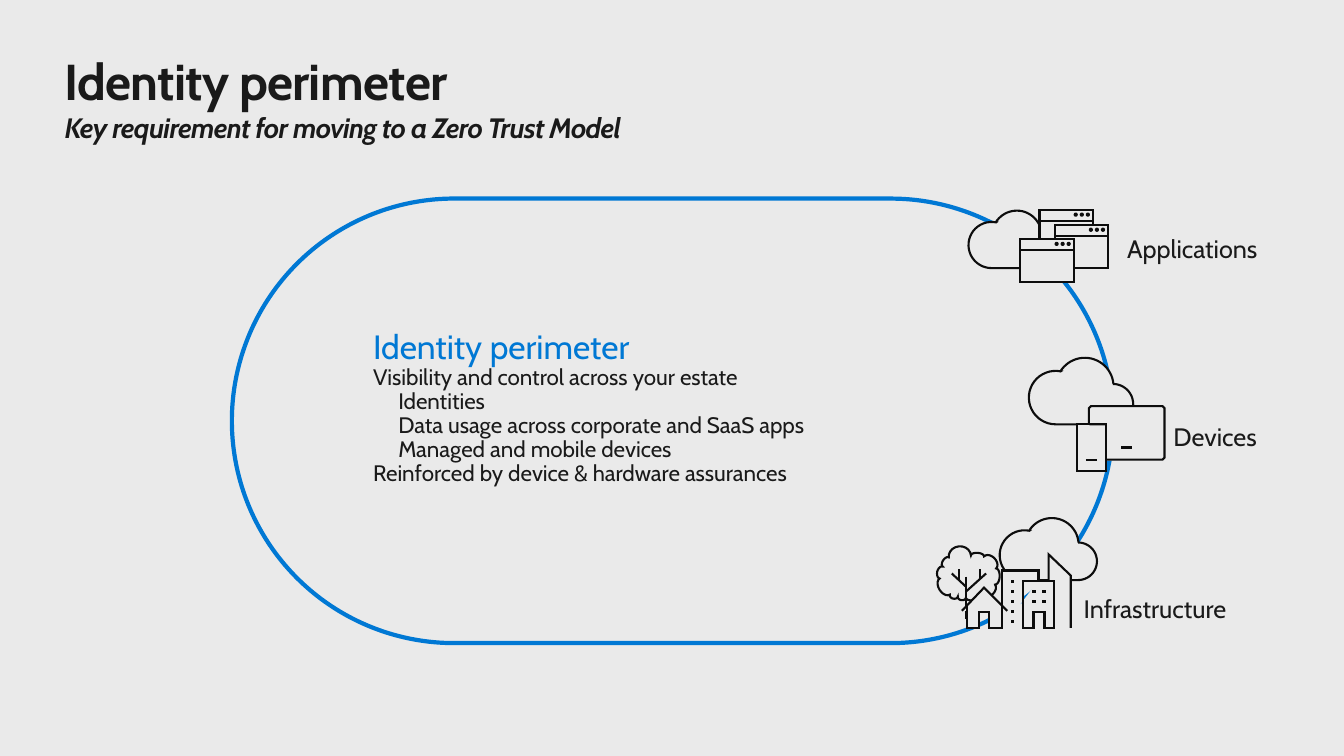
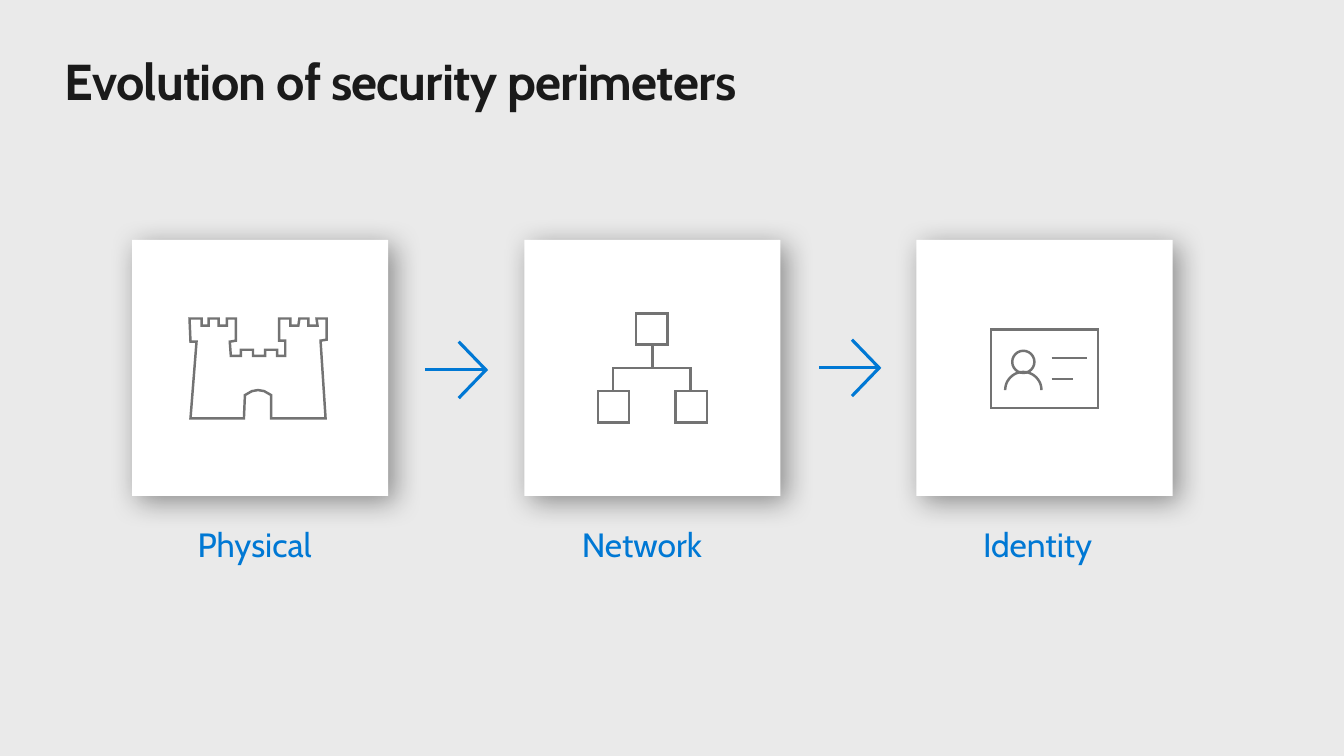
from dataclasses import dataclass
from math import cos, hypot, pi, radians, sin

from lxml import etree
from pptx import Presentation
from pptx import util as u
from pptx.dml.color import RGBColor
from pptx.enum import shapes, text
from pptx.oxml.ns import qn

FONT = "Cabin"
PAPER, INK, BLUE, WHITE = "EAEAEA", "1A1A1A", "0078D4", "FFFFFF"
OUTLINE, GREY = "0D0D0D", "737373"
CARD_SIZE = 2.54
CARD_TOP = 2.38

Point = tuple[float, float]
Contour = list[Point]


@dataclass
class Label:
    words: str
    left: float
    top: float
    width: float


@dataclass
class Line:
    words: str
    size: int = 16
    colour: str = INK
    indent: float = 0
    spacing: float = 0.9


@dataclass
class Stroke:
    colour: str
    width: float
    fill: str | None = None


ICON = Stroke(OUTLINE, 1.5, PAPER)
PICTOGRAM = Stroke(GREY, 1.75)
ARROW = Stroke(BLUE, 2.25)

ACCESS_LABELS = [
    Label("Infrastructure", 10.65, 5.84, 2.08),
    Label("Applications", 11.08, 2.27, 1.76),
    Label("Devices", 11.54, 4.13, 1.49),
]
STAGES = [
    Label("Physical", 1.76, 5.08, 1.72),
    Label("Network", 5.57, 5.08, 1.81),
    Label("Identity", 9.55, 5.08, 1.67),
]
PERIMETER_LINES = [
    Line("Identity perimeter", 24, BLUE, spacing=1.0),
    Line("Visibility and control across your estate"),
    Line("Identities", indent=0.25),
    Line("Data usage across corporate and SaaS apps", indent=0.25),
    Line("Managed and mobile devices", indent=0.25),
    Line("Reinforced by device & hardware assurances"),
]
TREE_NOTCHES = [
    (9.88, 5.64, 0.06), (9.76, 5.52, 0.03), (9.63, 5.51, 0.1),
    (9.41, 5.53, 0.03), (9.35, 5.62, 0.04), (9.32, 5.74, 0.06),
    (9.42, 5.9, 0.03), (9.5, 5.92, 0.03), (9.58, 5.93, 0.04),
    (9.71, 5.9, 0.07), (9.87, 5.8, 0.04),
]
CASTLE = [
    (1.89, 4.15), (2.42, 4.15), (2.43, 3.92), (2.5, 3.88), (2.56, 3.87),
    (2.62, 3.88), (2.69, 3.92), (2.69, 4.15), (3.23, 4.15), (3.18, 3.38),
    (3.24, 3.37), (3.24, 3.16), (3.14, 3.16), (3.15, 3.23), (3.06, 3.23),
    (3.06, 3.16), (2.97, 3.16), (2.96, 3.23), (2.88, 3.23), (2.88, 3.16),
    (2.77, 3.16), (2.77, 3.38), (2.83, 3.38), (2.83, 3.53), (2.75, 3.53),
    (2.75, 3.47), (2.63, 3.47), (2.63, 3.53), (2.51, 3.53), (2.51, 3.47),
    (2.39, 3.47), (2.39, 3.53), (2.29, 3.53), (2.28, 3.39), (2.34, 3.38),
    (2.34, 3.16), (2.25, 3.16), (2.25, 3.23), (2.17, 3.23), (2.17, 3.16),
    (2.07, 3.16), (2.07, 3.23), (2, 3.23), (2, 3.16), (1.88, 3.16),
    (1.89, 3.39), (1.95, 3.39), (1.89, 4.15),
]


def rgb(colour: str) -> RGBColor:
    return RGBColor.from_string(colour)


def style(shape, fill: str | None, stroke: Stroke | None) -> None:
    shape.shadow.inherit = False
    if fill:
        shape.fill.solid()
        shape.fill.fore_color.rgb = rgb(fill)
    else:
        shape.fill.background()
    if stroke:
        shape.line.color.rgb = rgb(stroke.colour)
        shape.line.width = u.Pt(stroke.width)
    else:
        shape.line.fill.background()


def draw(page, contours: list[Contour], stroke: Stroke) -> None:
    outlines = [[(u.Inches(x), u.Inches(y)) for x, y in contour] for contour in contours]
    builder = page.shapes.build_freeform(*outlines[0][0])
    for number, outline in enumerate(outlines):
        if number:
            builder.move_to(*outline[0])
        builder.add_line_segments(outline[1:], close=outline[0] == outline[-1])
    shape = builder.convert_to_shape()
    style(shape, stroke.fill, stroke)
    etree.SubElement(shape._element.spPr.find(qn("a:ln")), qn("a:miter"), lim="800000")


def add_block(page, kind, left: float, top: float, width: float, height: float,
              fill: str | None = None, stroke: Stroke | None = None):
    shape = page.shapes.add_shape(kind, *map(u.Inches, (left, top, width, height)))
    style(shape, fill, stroke)
    return shape


def arc(x: float, y: float, radius: float, start: float, end: float) -> Contour:
    steps = 24
    angles = [radians(start + (end - start) * step / steps) for step in range(steps + 1)]
    return [(x + radius * cos(angle), y + radius * sin(angle)) for angle in angles]


def rectangle(left: float, top: float, width: float, height: float) -> Contour:
    right, bottom = left + width, top + height
    return [(left, top), (right, top), (right, bottom), (left, bottom), (left, top)]


def cloud(left: float, top: float, width: float) -> Contour:
    points = (arc(0.26, 0.395, 0.265, 90, 281) + arc(0.55, 0.285, 0.285, 211, 355)
              + arc(0.83, 0.46, 0.2, 270, 450))
    points.append(points[0])
    scale = width / 1.03
    return [(left + x * scale, top + y * scale) for x, y in points]


def app_window(left: float, top: float) -> list[Contour]:
    bar = [(left, top + 0.11), (left + 0.53, top + 0.11)]
    dots = [arc(left + offset, top + 0.05, 0.01, 0, 360) for offset in (0.36, 0.42, 0.48)]
    return [rectangle(left, top, 0.53, 0.43), bar, *dots]


def tree() -> list[Contour]:
    crown: Contour = []
    steps = 10
    for (x1, y1, sag), (x2, y2, _) in zip(TREE_NOTCHES, TREE_NOTCHES[1:] + TREE_NOTCHES[:1]):
        dx, dy = x2 - x1, y2 - y1
        length = hypot(dx, dy)
        for step in range(steps):
            along = (1 - cos(pi * step / steps)) / 2
            out = sag * sin(pi * step / steps) / length
            crown.append((x1 + dx * along - dy * out, y1 + dy * along + dx * out))
    crown.append(crown[0])
    branches = [
        [(9.58, 5.72), (9.58, 6.14)], [(9.78, 5.69), (9.58, 5.87)],
        [(9.58, 5.82), (9.44, 5.69)], [(9.51, 5.65), (9.51, 5.76)],
        [(9.72, 5.65), (9.72, 5.74)],
    ]
    return [crown, *branches]


def buildings() -> list[Contour]:
    walls = [
        [(10.45, 5.76), (10.45, 6.23), (10.36, 6.23), (10.36, 6.07), (10.25, 6.07),
         (10.25, 6.23), (10.15, 6.23), (10.15, 5.76), (10.45, 5.76)],
        [(10.3, 5.76), (10.3, 5.66), (9.94, 5.66), (9.94, 6.23)],
        [(10.62, 6.23), (10.62, 5.71), (10.4, 5.5), (10.4, 5.76)],
    ]
    tall = [rectangle(10.04, 5.76 + 0.1 * floor, 0.01, 0.01) for floor in range(5)]
    low = [rectangle(x, y, 0.01, 0.01) for x in (10.25, 10.35) for y in (5.86, 5.96)]
    return [*walls, *tall, *low]


def house() -> list[Contour]:
    return [
        [(9.54, 6.06), (9.76, 5.83), (9.99, 6.06)],
        [(9.59, 6.01), (9.59, 6.23), (9.71, 6.23), (9.71, 6.07), (9.81, 6.07),
         (9.81, 6.23), (9.94, 6.23), (9.94, 6.01)],
    ]


def devices() -> list[Contour]:
    return [
        rectangle(10.68, 4.21, 0.29, 0.46),
        [(10.77, 4.56), (10.88, 4.56)],
        [(11.12, 4.44), (11.23, 4.44)],
        [(10.97, 4.56), (11.53, 4.56), (11.55, 4.54), (11.55, 4.05), (11.53, 4.03),
         (10.82, 4.03), (10.8, 4.05), (10.8, 4.21)],
    ]


def network() -> list[Contour]:
    nodes = [rectangle(x, y, 0.31, 0.31) for x, y in ((5.93, 3.88), (6.7, 3.88), (6.31, 3.11))]
    return [*nodes, [(6.47, 3.42), (6.47, 3.65)],
            [(6.85, 3.88), (6.85, 3.65), (6.08, 3.65), (6.08, 3.88)]]


def identity_card() -> list[Contour]:
    return [
        [(10.43, 3.55), (10.78, 3.55)], [(10.43, 3.76), (10.64, 3.76)],
        rectangle(9.83, 3.27, 1.06, 0.78),
        arc(10.15, 3.59, 0.11, 0, 360), arc(10.15, 3.87, 0.18, 0, -180),
    ]


def arrow(left: float, middle: float) -> list[Contour]:
    tip = (left + 0.6, middle)
    return [[(left + 0.33, middle - 0.28), tip, (left + 0.33, middle + 0.28)],
            [tip, (left, middle)]]


def set_font(font, size: int, colour: str) -> None:
    font.name = FONT
    font.size = u.Pt(size)
    font.color.rgb = rgb(colour)


def set_margins(frame, left: float, top: float, right: float, bottom: float) -> None:
    frame.margin_left, frame.margin_top = u.Inches(left), u.Inches(top)
    frame.margin_right, frame.margin_bottom = u.Inches(right), u.Inches(bottom)


def add_title(page, words: str, height: float, subtitle: str = "") -> None:
    box = page.shapes.title
    box.left, box.top, box.width, box.height = map(u.Inches, (0.64, 0.5, 12.05, height))
    frame = box.text_frame
    set_margins(frame, 0, 0, 0, 0)
    frame.vertical_anchor = text.MSO_ANCHOR.TOP
    frame.auto_size = text.MSO_AUTO_SIZE.SHAPE_TO_FIT_TEXT
    para = frame.paragraphs[0]
    para.alignment = text.PP_ALIGN.LEFT
    para.line_spacing = 1.0
    for part, size in ((words, 36), (subtitle, 20)):
        if not part:
            continue
        if para.runs:
            para.add_line_break()
        span = para.add_run()
        span.text = part
        set_font(span.font, size, INK)
        span.font.bold = True
        span.font.italic = part == subtitle
        span._r.get_or_add_rPr().set("spc", "-50")


def add_text(page, lines: list[Line], left: float, top: float, width: float, height: float,
             margins: tuple[float, float, float, float] = (0.1, 0.05, 0.1, 0.05),
             wrap: bool = True, anchor=text.MSO_ANCHOR.TOP) -> None:
    box = page.shapes.add_textbox(*map(u.Inches, (left, top, width, height)))
    frame = box.text_frame
    frame.word_wrap = wrap
    frame.auto_size = text.MSO_AUTO_SIZE.SHAPE_TO_FIT_TEXT
    frame.vertical_anchor = anchor
    set_margins(frame, *margins)
    for number, line in enumerate(lines):
        para = frame.add_paragraph() if number else frame.paragraphs[0]
        para.text = line.words
        para.line_spacing = line.spacing
        if line.indent:
            para._p.get_or_add_pPr().set("marL", str(u.Inches(line.indent)))
        set_font(para.font, line.size, line.colour)


def add_card(page, left: float) -> None:
    card = add_block(page, shapes.MSO_SHAPE.RECTANGLE, left, CARD_TOP, CARD_SIZE, CARD_SIZE, WHITE)
    effects = card._element.spPr.find(qn("a:effectLst"))
    shadow = etree.SubElement(effects, qn("a:outerShdw"), blurRad=str(u.Pt(20)),
                              dist=str(u.Pt(6)), dir="2700000", algn="tl", rotWithShape="0")
    tint = etree.SubElement(shadow, qn("a:srgbClr"), val="000000")
    etree.SubElement(tint, qn("a:alpha"), val="40000")


def build_perimeter(page) -> None:
    add_title(page, "Identity perimeter", 0.94, "Key requirement for moving to a Zero Trust Model")
    ring = add_block(page, shapes.MSO_SHAPE.ROUNDED_RECTANGLE, 2.3, 1.97, 8.74, 4.41,
                     stroke=Stroke(BLUE, 3))
    ring.adjustments[0] = 0.5
    for mask in ((10.18, 2.16, 0.58, 0.48), (10.78, 4.03, 0.47, 0.54)):
        add_block(page, shapes.MSO_SHAPE.RECTANGLE, *mask, fill=PAPER)
    icons = [
        tree(), [cloud(9.92, 5.14, 0.96)], buildings(), house(),
        [cloud(10.21, 3.55, 1.03)], devices(),
        [cloud(9.61, 2.09, 0.89)], app_window(10.31, 2.08),
        app_window(10.46, 2.23), app_window(10.12, 2.37),
    ]
    for icon in icons:
        draw(page, icon, ICON)
    for label in ACCESS_LABELS:
        add_text(page, [Line(label.words, 18, spacing=1.0)], label.left, label.top, label.width, 0.4)
    add_text(page, PERIMETER_LINES, 3.4, 3.02, 5.42, 2.02, (0.3, 0.2, 0.1, 0.2),
             anchor=text.MSO_ANCHOR.MIDDLE)


def build_evolution(page) -> None:
    add_title(page, "Evolution of security perimeters", 0.61)
    pictograms = [[CASTLE], network(), identity_card()]
    for number, (stage, pictogram) in enumerate(zip(STAGES, pictograms)):
        add_card(page, 1.31 + 3.89 * number)
        draw(page, pictogram, PICTOGRAM)
        add_text(page, [Line(stage.words, 24, BLUE)], stage.left, stage.top, stage.width, 0.69,
                 (0.2, 0.16, 0.2, 0.16), wrap=False)
    for left, middle in ((4.22, 3.67), (8.12, 3.65)):
        draw(page, arrow(left, middle), ARROW)


def main() -> None:
    deck = Presentation()
    deck.slide_width, deck.slide_height = u.Inches(13.33), u.Inches(7.5)
    backdrop = deck.slide_master.background.fill
    backdrop.solid()
    backdrop.fore_color.rgb = rgb(PAPER)
    for build in (build_perimeter, build_evolution):
        build(deck.slides.add_slide(deck.slide_layouts[5]))
    deck.save("out.pptx")


if __name__ == "__main__":
    main()
